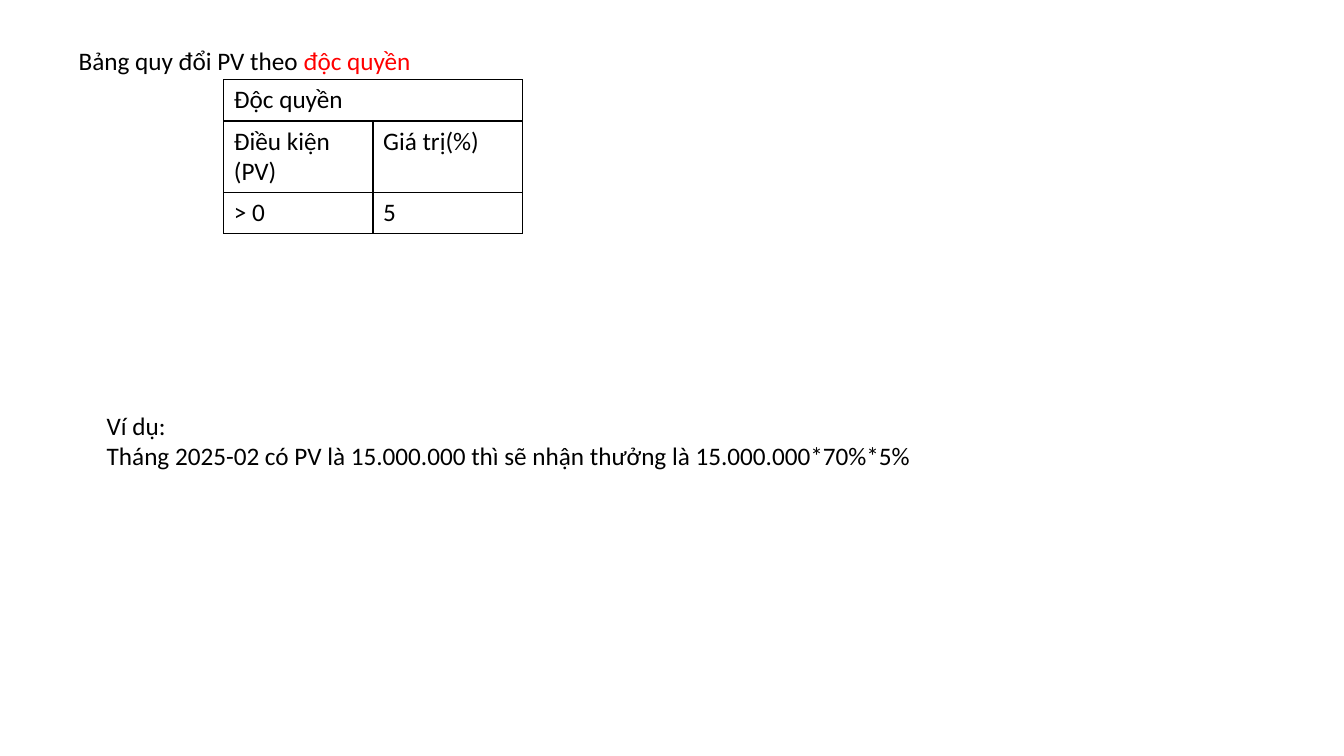
from lxml import etree
from pptx import Presentation
from pptx.dml.color import RGBColor
from pptx.enum.text import MSO_ANCHOR, MSO_AUTO_SIZE, PP_ALIGN
from pptx.oxml.ns import qn
from pptx.util import Inches, Pt

TOP = MSO_ANCHOR.TOP
NO_AUTOFIT = MSO_AUTO_SIZE.NONE
LEFT = PP_ALIGN.LEFT
TITLE_ONLY = 5
BLACK = "000000"
RED = "FF0000"


def set_font(font, color):
    font.name = "Calibri"
    font.size = Pt(18)
    font.bold = False
    font.color.rgb = RGBColor.from_string(color)


def add_borders(cell):
    """Draw a 1 pt black line on all four sides of a table cell."""
    properties = cell._tc.get_or_add_tcPr()
    for position, side in enumerate(("a:lnL", "a:lnR", "a:lnT", "a:lnB")):
        line = etree.Element(qn(side), w=str(Pt(1)))
        fill = etree.SubElement(line, qn("a:solidFill"))
        etree.SubElement(fill, qn("a:srgbClr"), val=BLACK)
        properties.insert(position, line)


presentation = Presentation()
presentation.slide_width = Inches(13.33)
presentation.slide_height = Inches(7.5)
slide = presentation.slides.add_slide(presentation.slide_layouts[TITLE_ONLY])

# Title
title = slide.shapes.title
title.left, title.top = Inches(0.68), Inches(0.4)
title.width, title.height = Inches(11.99), Inches(0.71)
title_frame = title.text_frame
title_frame.vertical_anchor = TOP
title_frame.auto_size = NO_AUTOFIT
title_frame.word_wrap = True
paragraph = title_frame.paragraphs[0]
paragraph.alignment = LEFT
for text, color in (("Bảng quy đổi PV theo ", BLACK), ("độc quyền", RED)):
    run = paragraph.add_run()
    run.text = text
    set_font(run.font, color)

# Conversion table
rows = [("Độc quyền", ""), ("Điều kiện (PV)", "Giá trị(%)"), ("> 0", "5")]
row_heights = [0.41, 0.69, 0.41]
table = slide.shapes.add_table(
    len(rows), 2, Inches(2.22), Inches(0.79), Inches(2.96), Inches(sum(row_heights))
).table
table.first_row = False
table.horz_banding = False
for row_index, values in enumerate(rows):
    table.rows[row_index].height = Inches(row_heights[row_index])
    for column_index, value in enumerate(values):
        cell = table.cell(row_index, column_index)
        cell.text = value
        cell.fill.background()
        set_font(cell.text_frame.paragraphs[0].font, BLACK)
        add_borders(cell)
table.cell(0, 0).merge(table.cell(0, 1))

# Example
example = slide.shapes.add_textbox(Inches(0.96), Inches(4.02), Inches(10.72), Inches(0.71))
example_frame = example.text_frame
example_frame.word_wrap = True
example_frame.auto_size = MSO_AUTO_SIZE.SHAPE_TO_FIT_TEXT
paragraph = example_frame.paragraphs[0]
paragraph.text = "Ví dụ:\vTháng 2025-02 có PV là 15.000.000 thì sẽ nhận thưởng là 15.000.000*70%*5%"
set_font(paragraph.font, BLACK)

presentation.save("out.pptx")
